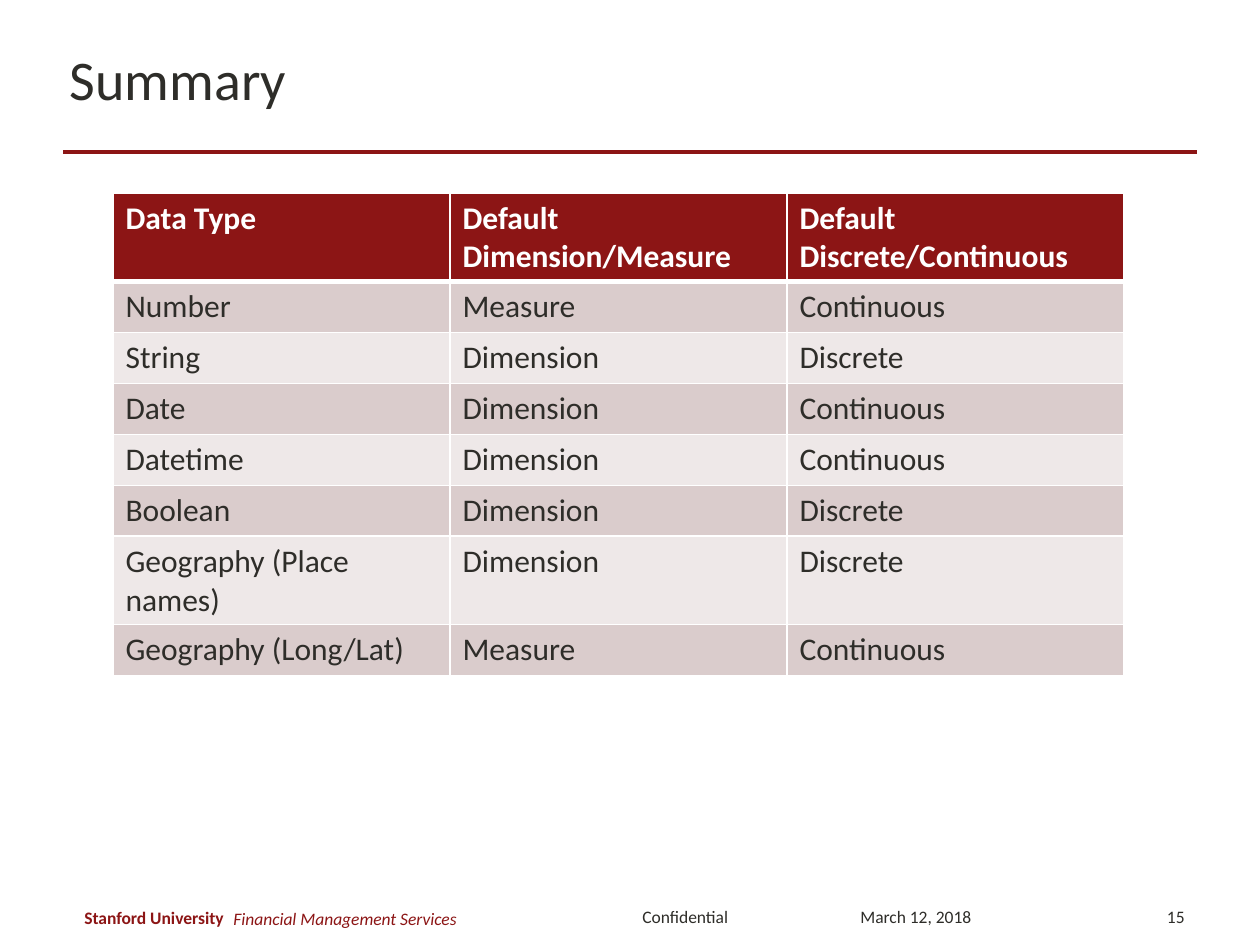
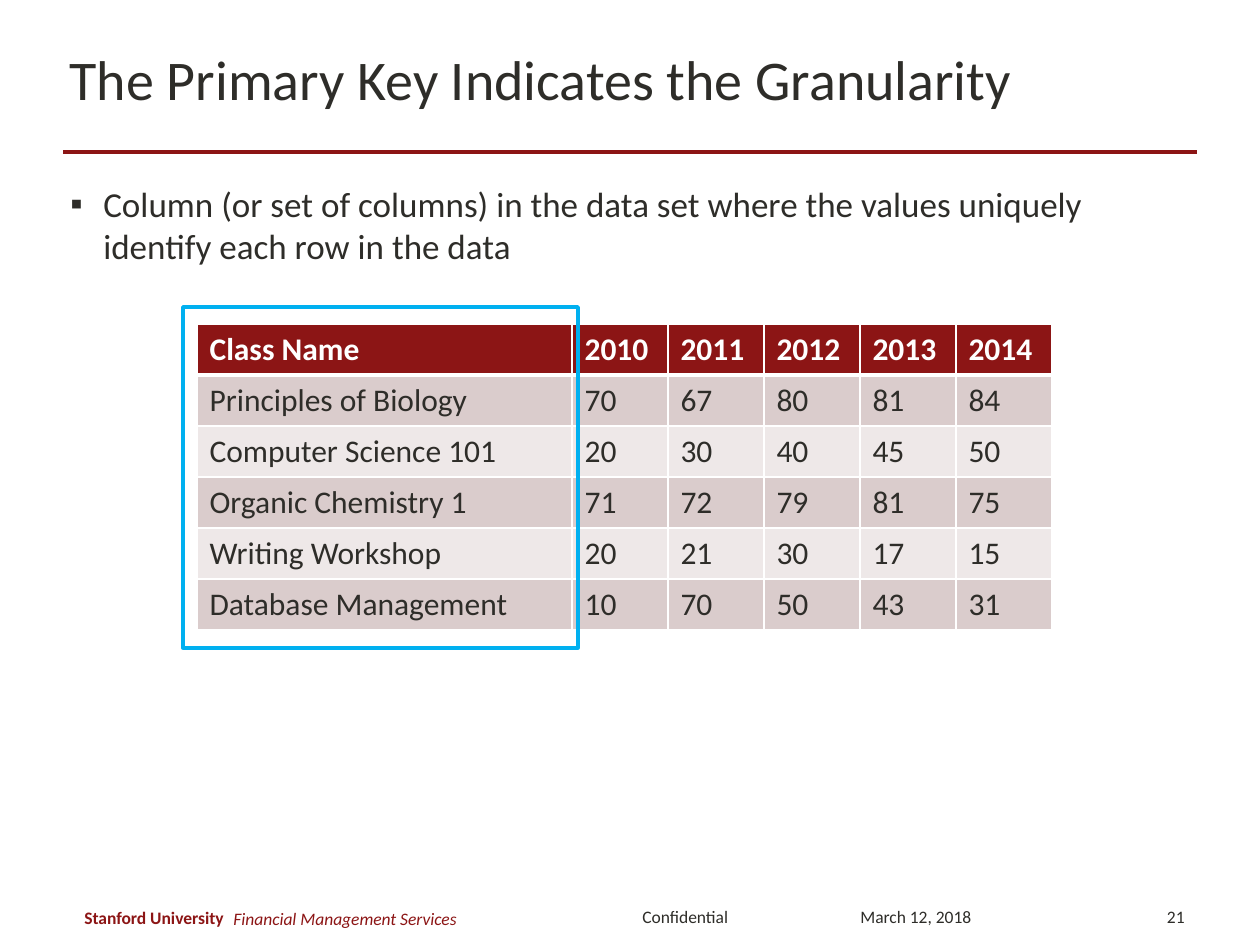
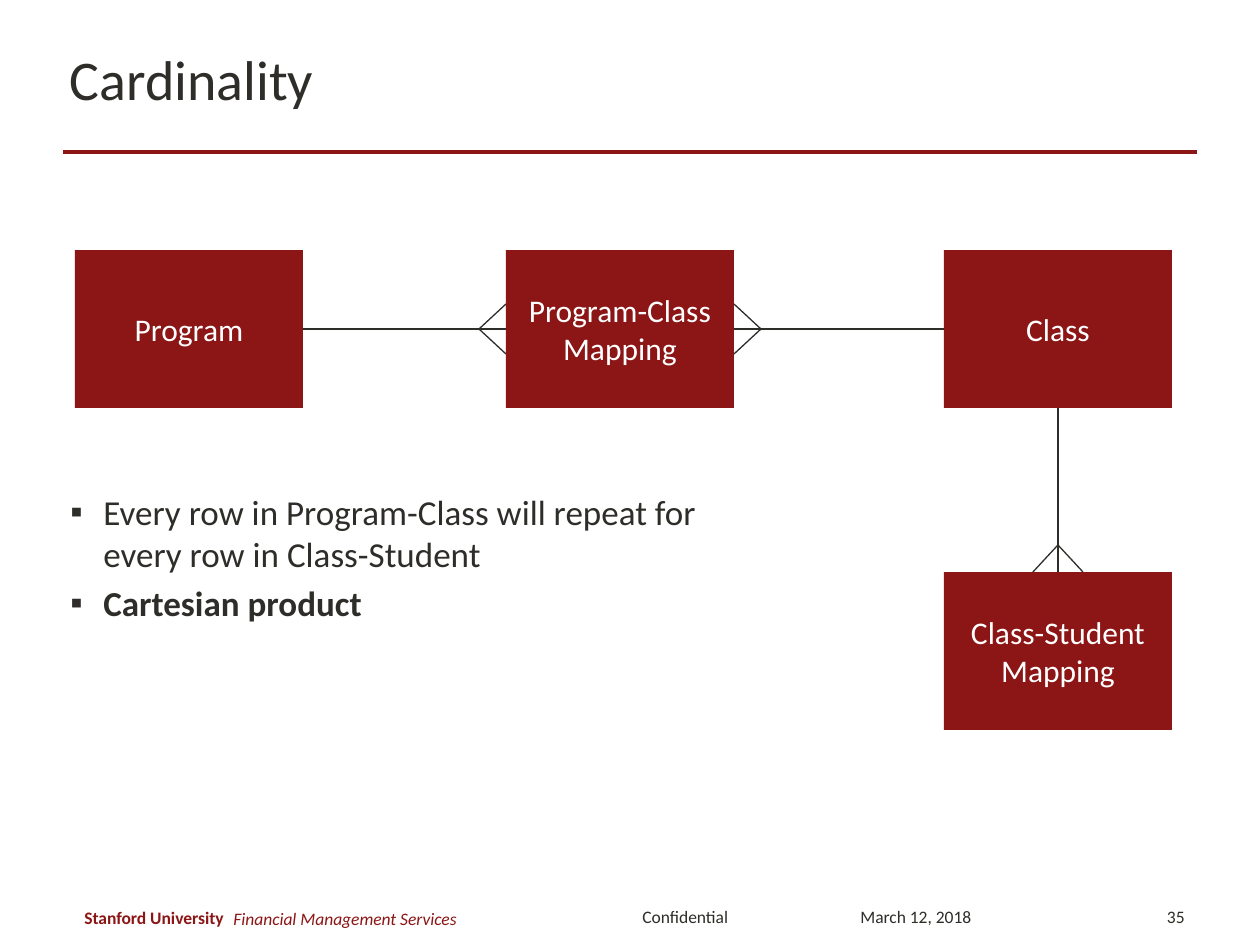
from collections import namedtuple

from lxml import etree
from pptx import Presentation
from pptx import util as u
from pptx.dml.color import RGBColor
from pptx.enum import shapes, text
from pptx.oxml import ns

CARDINAL = RGBColor(0x8C, 0x15, 0x15)
INK = RGBColor(0x2E, 0x2D, 0x29)
WHITE = RGBColor(0xFF, 0xFF, 0xFF)
ROW_DARK = RGBColor(0xDA, 0xCC, 0xCC)
ROW_LIGHT = RGBColor(0xEE, 0xE8, 0xE8)
HIGHLIGHT = RGBColor(0x00, 0xB0, 0xF0)
FONT = "Calibri"

PX_PER_INCH = 126
ROW_HEIGHT = 51
BULLET_INDENT = 33
TOP, LEFT, BOTTOM, RIGHT = range(4)

Box = namedtuple("Box", "x y w h")
SLIDE = Box(0, 0, 1260, 945)
TITLE = Box(57, 23, 1134, 110)
CONTENT = Box(58, 176, 1134, 624)
FOOTER = Box(63, 892, 1134, 50)

DATA_TYPES = [
    ("Data Type", "Default Dimension/Measure", "Default Discrete/Continuous"),
    ("Number", "Measure", "Continuous"),
    ("String", "Dimension", "Discrete"),
    ("Date", "Dimension", "Continuous"),
    ("Datetime", "Dimension", "Continuous"),
    ("Boolean", "Dimension", "Discrete"),
    ("Geography (Place names)", "Dimension", "Discrete"),
    ("Geography (Long/Lat)", "Measure", "Continuous"),
]
ENROLLMENT = [
    ("Class Name", "2010", "2011", "2012", "2013", "2014"),
    ("Principles of Biology", "70", "67", "80", "81", "84"),
    ("Computer Science 101", "20", "30", "40", "45", "50"),
    ("Organic Chemistry 1", "71", "72", "79", "81", "75"),
    ("Writing Workshop", "20", "21", "30", "17", "15"),
    ("Database Management", "10", "70", "50", "43", "31"),
]


def px(length):
    """Turn pixels into EMU."""
    return u.Emu(round(length * u.Inches(1) / PX_PER_INCH))


def emu(box):
    """Turn every side of a box into EMU."""
    return [px(side) for side in box]


def within(box, x, y, w, h):
    """Return a box placed relative to the corner of another."""
    return Box(box.x + x, box.y + y, w, h)


def add_run(paragraph, words, size, color, bold=False, italic=False):
    """Append one formatted run."""
    run = paragraph.add_run()
    run.text = words
    font = run.font
    font.name, font.size, font.color.rgb = FONT, u.Pt(size), color
    font.bold, font.italic = bold, italic


def add_line(slide, start, end, color=INK, weight=0.75):
    """Draw a straight line without a shadow."""
    line = slide.shapes.add_connector(
        shapes.MSO_CONNECTOR.STRAIGHT, *emu(start), *emu(end))
    line.line.color.rgb, line.line.width = color, u.Pt(weight)
    etree.SubElement(line._element.spPr, ns.qn("a:effectLst"))
    return line


def add_rectangle(slide, box):
    """Draw a rectangle without a shadow."""
    rectangle = slide.shapes.add_shape(shapes.MSO_SHAPE.RECTANGLE, *emu(box))
    rectangle.shadow.inherit = False
    return rectangle


def add_label(slide, box, words, color=INK, align=text.PP_ALIGN.LEFT,
              wrap=True, **style):
    """Place one footer label."""
    frame = slide.shapes.add_textbox(*emu(box)).text_frame
    frame.word_wrap = wrap
    frame.vertical_anchor = text.MSO_ANCHOR.MIDDLE
    frame.paragraphs[0].alignment = align
    add_run(frame.paragraphs[0], words, 10, color, **style)


def add_footer(slide, box, page):
    """Place the footer line of labels."""
    add_label(slide, within(box, 9, 8, 168, 34), "Stanford University",
              CARDINAL, wrap=False, bold=True)
    add_label(slide, within(box, 158, 2, 399, 50),
              "Financial Management Services", CARDINAL, italic=True)
    add_label(slide, within(box, 567, 0, 129, 50), "Confidential")
    add_label(slide, within(box, 785, 0, 174, 50), "March 12, 2018")
    add_label(slide, within(box, 1050, 0, 84, 50), str(page),
              align=text.PP_ALIGN.RIGHT)


def add_page(deck, heading, page):
    """Add a slide with its title, rule and footer."""
    slide = deck.slides.add_slide(deck.slide_layouts.get_by_name("Title Only"))
    title = slide.shapes.title
    title.left, title.top, title.width, title.height = emu(TITLE)
    frame = title.text_frame
    frame.word_wrap, frame.auto_size = True, text.MSO_AUTO_SIZE.NONE
    frame.vertical_anchor = text.MSO_ANCHOR.MIDDLE
    frame.paragraphs[0].alignment = text.PP_ALIGN.LEFT
    add_run(frame.paragraphs[0], heading, 32, INK)
    rule_y = 152
    add_line(slide, (FOOTER.x, rule_y), (FOOTER.x + FOOTER.w, rule_y),
             CARDINAL, 2.25)
    add_footer(slide, FOOTER, page)
    return slide


def add_bullets(slide, box, points):
    """Place square-bulleted points, given as (words, bold)."""
    frame = slide.shapes.add_textbox(*emu(box)).text_frame
    frame.word_wrap = True
    for index, (words, bold) in enumerate(points):
        point = frame.add_paragraph() if index else frame.paragraphs[0]
        properties = point._p.get_or_add_pPr()
        properties.set("marL", str(px(BULLET_INDENT)))
        properties.set("indent", str(-px(BULLET_INDENT)))
        etree.SubElement(properties, ns.qn("a:buFont"), typeface="Arial")
        etree.SubElement(properties, ns.qn("a:buChar"), char="▪")
        if index:
            point.space_before = u.Pt(4)
        add_run(point, words, 20, INK, bold)


def add_borders(cell, bottom):
    """Give a cell white borders, the bottom one of its own weight."""
    properties = cell._tc.get_or_add_tcPr()
    for side, weight in (("L", 1), ("R", 1), ("T", 1), ("B", bottom)):
        border = etree.SubElement(properties, ns.qn(f"a:ln{side}"),
                                  w=str(u.Pt(weight)))
        fill = etree.SubElement(border, ns.qn("a:solidFill"))
        etree.SubElement(fill, ns.qn("a:srgbClr"), val=str(WHITE))


def add_banded_table(slide, x, y, records, widths):
    """Place a table with a cardinal header and banded rows."""
    box = Box(x, y, sum(widths), ROW_HEIGHT * len(records))
    table = slide.shapes.add_table(len(records), len(widths), *emu(box)).table
    for column, width in zip(table.columns, widths):
        column.width = px(width)
    for index, record in enumerate(records):
        header = index == 0
        band = CARDINAL if header else ROW_DARK if index % 2 else ROW_LIGHT
        table.rows[index].height = px(ROW_HEIGHT)
        for cell, words in zip(table.rows[index].cells, record):
            add_borders(cell, 3 if header else 1)
            cell.fill.solid()
            cell.fill.fore_color.rgb = band
            add_run(cell.text_frame.paragraphs[0], words, 18,
                    WHITE if header else INK, bold=header)
    return box


def add_entity(slide, box, name):
    """Draw one entity of the diagram."""
    entity = add_rectangle(slide, box)
    entity.fill.solid()
    entity.fill.fore_color.rgb = CARDINAL
    entity.line.fill.background()
    frame = entity.text_frame
    frame.word_wrap = True
    frame.vertical_anchor = text.MSO_ANCHOR.MIDDLE
    frame.paragraphs[0].alignment = text.PP_ALIGN.CENTER
    add_run(frame.paragraphs[0], name, 18, WHITE)
    return entity


def side_middle(box, side):
    """Return the middle of a side and its outward direction."""
    dx, dy = {TOP: (0, -1), LEFT: (-1, 0), BOTTOM: (0, 1), RIGHT: (1, 0)}[side]
    middle = (box.x + box.w // 2 + dx * box.w // 2,
              box.y + box.h // 2 + dy * box.h // 2)
    return middle, (dx, dy)


def add_crow_foot(slide, box, side, length=27, spread=25):
    """Mark the many end of a relation on a side of a box."""
    (x, y), (dx, dy) = side_middle(box, side)
    apex = (x + dx * length, y + dy * length)
    for offset in (-spread, spread):
        add_line(slide, apex, (x + dy * offset, y + dx * offset))


def add_entity_diagram(slide, box):
    """Draw the entities and their one-to-many relations."""
    places = {
        "Program": (17, 74),
        "Program-Class Mapping": (448, 74),
        "Class": (886, 74),
        "Class-Student Mapping": (886, 396),
    }
    boxes = {name: within(box, x, y, 228, 158)
             for name, (x, y) in places.items()}
    entities = {name: add_entity(slide, place, name)
                for name, place in boxes.items()}
    relations = [
        ("Program", RIGHT, "Program-Class Mapping", LEFT),
        ("Class", LEFT, "Program-Class Mapping", RIGHT),
        ("Class", BOTTOM, "Class-Student Mapping", TOP),
    ]
    for one, one_side, many, many_side in relations:
        start, _ = side_middle(boxes[one], one_side)
        end, _ = side_middle(boxes[many], many_side)
        relation = add_line(slide, start, end)
        relation.begin_connect(entities[one], one_side)
        relation.end_connect(entities[many], many_side)
        add_crow_foot(slide, boxes[many], many_side)


def build_summary(deck, box):
    """Build the slide on data type defaults."""
    slide = add_page(deck, "Summary", 15)
    add_banded_table(slide, box.x + 55, box.y + 17, DATA_TYPES, [337] * 3)


def build_granularity(deck, box):
    """Build the slide on the primary key."""
    slide = add_page(deck, "The Primary Key Indicates the Granularity", 21)
    add_bullets(slide, box, [
        ("Column (or set of columns) in the data set where the values "
         "uniquely identify each row in the data", False)])
    name_width = 375
    table = add_banded_table(slide, box.x + 139, box.y + 148, ENROLLMENT,
                             [name_width] + [96] * 5)
    key = add_rectangle(
        slide, within(table, -14, -17, name_width + 20, table.h + 35))
    key.fill.background()
    key.line.color.rgb, key.line.width = HIGHLIGHT, u.Pt(2)


def build_cardinality(deck, box):
    """Build the slide on cardinality."""
    slide = add_page(deck, "Cardinality", 35)
    add_entity_diagram(slide, box)
    add_bullets(slide, within(box, 0, 308, 675, 343), [
        ("Every row in Program-Class will repeat for every row in "
         "Class-Student", False),
        ("Cartesian product", True)])


def main():
    """Build and save the deck."""
    deck = Presentation()
    deck.slide_width, deck.slide_height = px(SLIDE.w), px(SLIDE.h)
    for build in (build_summary, build_granularity, build_cardinality):
        build(deck, CONTENT)
    deck.save("out.pptx")


if __name__ == "__main__":
    main()
